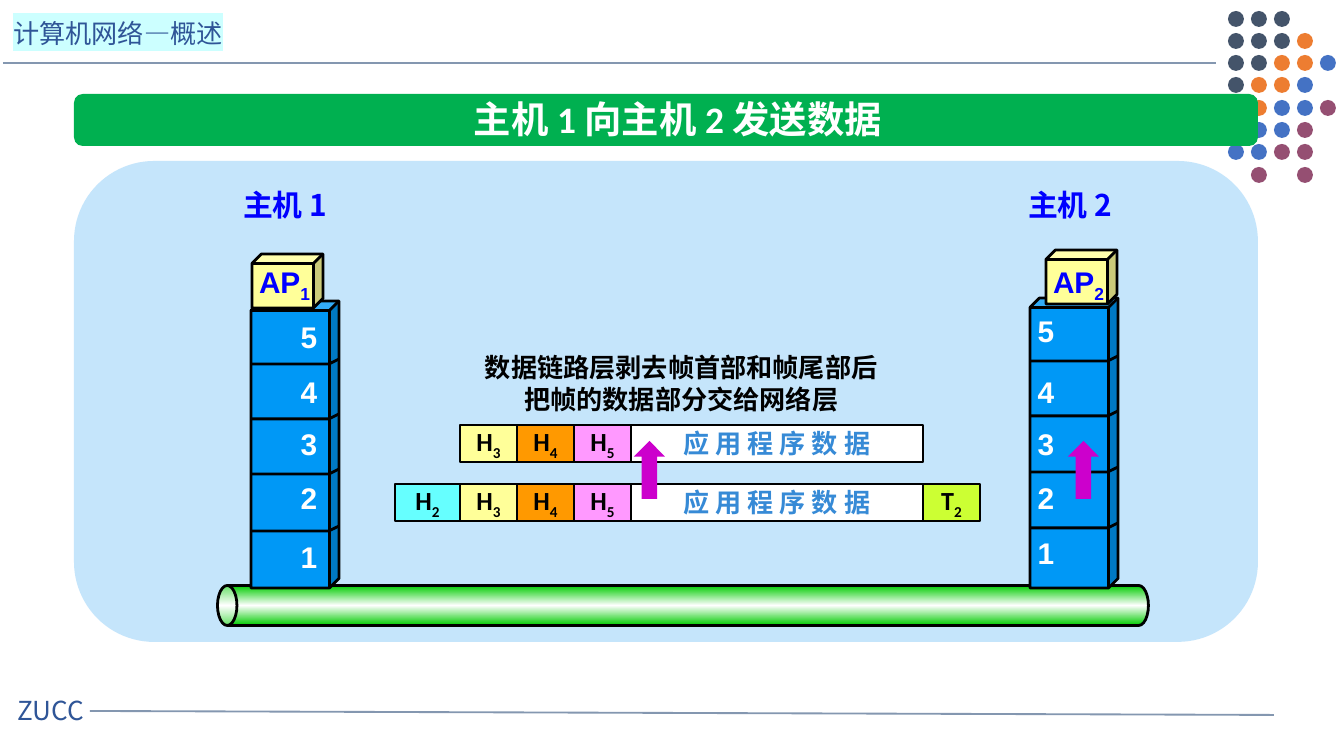
from copy import deepcopy
from dataclasses import dataclass
from typing import Optional

from lxml import etree
from pptx import Presentation
from pptx import util as u
from pptx.dml import color
from pptx.enum import shapes, text
from pptx.oxml import ns

SCALE = 914400 / 134.4  # EMU in one px


@dataclass(frozen=True)
class Theme:
    cjk: str = "Noto Sans CJK SC"
    latin: str = "Calibri"
    digit: str = "Arial"
    title_size: int = 20
    label_size: int = 16
    body_size: int = 14
    black: str = "000000"
    white: str = "FFFFFF"
    rule: str = "8497B0"
    brand: str = "2F5597"
    highlight: str = "CCFFFF"
    banner: str = "00B050"
    panel: str = "C5E5FB"
    pipe: str = "00CC00"
    tower: str = "0098F6"
    label: str = "0000FF"
    yellow: str = "FFFF99"
    orange: str = "FF9900"
    pink: str = "FF99FF"
    cyan: str = "66FFFF"
    lime: str = "CCFF33"
    data: str = "368AD6"
    arrow: str = "CC00CC"


@dataclass(frozen=True)
class Box:
    left: int
    top: int
    width: int
    height: int

    def emu(self) -> list[int]:
        return [px(v) for v in (self.left, self.top, self.width, self.height)]


@dataclass(frozen=True)
class Style:
    font: str
    size: int
    color: str
    bold: bool = True
    highlight: Optional[str] = None


@dataclass(frozen=True)
class Host:
    number: str
    tower: Box
    digit_left: int
    digit_tops: tuple[int, ...]
    seams: tuple[int, ...]
    name: Box
    process: Box
    process_label: Box


@dataclass(frozen=True)
class Cell:
    left: int
    width: int
    fill: str
    letter: str
    index: str


THEME = Theme()
KIND = shapes.MSO_SHAPE
CENTER, LEFT = text.PP_ALIGN.CENTER, text.PP_ALIGN.LEFT
BRAND = Style(THEME.cjk, THEME.body_size, THEME.brand, bold=False)
HEADER = Style(THEME.cjk, THEME.body_size, THEME.brand, False, THEME.highlight)
TITLE = Style(THEME.latin, THEME.title_size, THEME.white)
DIGIT = Style(THEME.digit, THEME.label_size, THEME.white)
PROCESS = Style(THEME.digit, THEME.label_size, THEME.label)
NAME = Style(THEME.cjk, THEME.label_size, THEME.label)
NOTE = Style(THEME.cjk, THEME.body_size, THEME.black)
FIELD = Style(THEME.latin, THEME.body_size, THEME.black)
DATA = Style(THEME.cjk, THEME.body_size, THEME.data)

DOT_COLORS = {"N": "44546A", "O": "ED7D31", "B": "4472C4", "P": "954F72"}
DOT_ROWS = ("NNN", "NNNO", "NNOOB", "NOOB", " OBBP", " BBP", "BBPP", " P P")

HOSTS = (
    Host("1", Box(251, 301, 88, 287), 287, (312, 367, 419, 473, 532),
         (364, 419, 474, 531), Box(230, 180, 160, 50),
         Box(252, 254, 71, 54), Box(245, 257, 79, 50)),
    Host("2", Box(1030, 298, 88, 290), 1024, (306, 367, 419, 473, 528),
         (361, 416, 472, 528), Box(1015, 180, 160, 50),
         Box(1046, 250, 71, 54), Box(1039, 257, 79, 50)),
)
PACKET = (
    Cell(460, 57, THEME.yellow, "H", "3"),
    Cell(517, 57, THEME.orange, "H", "4"),
    Cell(574, 57, THEME.pink, "H", "5"),
)
FRAME_ENDS = (
    Cell(395, 65, THEME.cyan, "H", "2"),
    Cell(923, 57, THEME.lime, "T", "2"),
)


def px(value: float) -> int:
    return round(value * SCALE)


def rgb(value: str) -> color.RGBColor:
    return color.RGBColor.from_string(value)


def add_run(para, words: str, style: Style, subscript: bool = False) -> None:
    span = para.add_run()
    span.text = words
    font = span.font
    font.size, font.bold = u.Pt(style.size), style.bold
    font.color.rgb = rgb(style.color)
    props = span._r.get_or_add_rPr()
    if style.highlight:
        mark = etree.SubElement(props, ns.qn("a:highlight"))
        etree.SubElement(mark, ns.qn("a:srgbClr"), val=style.highlight)
    font.name = style.font
    etree.SubElement(props, ns.qn("a:ea"), typeface=THEME.cjk)
    if subscript:
        props.set("baseline", "-25000")


def add_text(page, box: Box, lines, style: Style, align=CENTER, wrap=False, index="") -> None:
    frame = page.shapes.add_textbox(*box.emu()).text_frame
    frame.word_wrap = wrap
    frame.auto_size = text.MSO_AUTO_SIZE.SHAPE_TO_FIT_TEXT
    for number, line in enumerate(lines):
        para = frame.add_paragraph() if number else frame.paragraphs[0]
        para.alignment = align
        add_run(para, line, style)
        if index:
            add_run(para, index, style, subscript=True)


def set_line(shape, width: float, tint: str = THEME.black) -> None:
    shape.line.width = u.Pt(width)
    shape.line.color.rgb = rgb(tint)


def add_shape(page, kind, box: Box, fill: str, line: float = 0, adjust=()):
    shape = page.shapes.add_shape(kind, *box.emu())
    shape.shadow.inherit = False
    shape.fill.solid()
    shape.fill.fore_color.rgb = rgb(fill)
    if line:
        set_line(shape, line)
    else:
        shape.line.fill.background()
    for number, value in enumerate(adjust):
        shape.adjustments[number] = value
    return shape


def add_rule(page, *ends: int) -> None:
    rule = page.shapes.add_connector(shapes.MSO_CONNECTOR.STRAIGHT, *map(px, ends))
    set_line(rule, 1, THEME.rule)
    etree.SubElement(rule._element.spPr, ns.qn("a:effectLst"))


def add_pipe(page) -> None:
    pipe = add_shape(page, KIND.CAN, Box(663, 140, 40, 931), THEME.pipe, 1.5, [0.487])
    pipe.rotation = 270
    pipe.fill.gradient()
    pipe.fill.gradient_angle = 0
    stops = pipe._element.spPr.find(".//" + ns.qn("a:gsLst"))
    stops.insert(1, deepcopy(stops[0]))
    tints = (THEME.pipe, THEME.white, THEME.pipe)
    for stop, place, tint in zip(pipe.fill.gradient_stops, (0, 0.5, 1), tints):
        stop.position = place
        stop.color.rgb = rgb(tint)


def add_host(page, host: Host) -> None:
    add_shape(page, KIND.CUBE, host.tower, THEME.tower, 1.5, [0.108])
    for digit, top in zip("54321", host.digit_tops):
        add_text(page, Box(host.digit_left, top, 44, 50), [digit], DIGIT)
    left = host.tower.left
    for y in host.seams:
        outline = page.shapes.build_freeform(left, y, scale=SCALE)
        outline.add_line_segments([(left + 78, y), (left + 88, y - 5)], close=False)
        seam = outline.convert_to_shape()
        seam.shadow.inherit = False
        seam.fill.background()
        set_line(seam, 1.5)
    add_text(page, host.name, ["主机 " + host.number], NAME, LEFT, wrap=True)
    add_shape(page, KIND.CUBE, host.process, THEME.yellow, 1.5, [0.176])
    add_text(page, host.process_label, ["AP"], PROCESS, index=host.number)


def add_field(page, box: Box, fill: str, words: str, style: Style, index: str = "") -> None:
    frame = add_shape(page, KIND.RECTANGLE, box, fill, 0.75).text_frame
    frame.word_wrap = False
    frame.vertical_anchor = text.MSO_ANCHOR.MIDDLE
    para = frame.paragraphs[0]
    para.alignment = CENTER
    add_run(para, words, style)
    if index:
        add_run(para, index, style, subscript=True)


def add_packet(page, top: int, cells: tuple[Cell, ...]) -> None:
    for cell in cells:
        box = Box(cell.left, top, cell.width, 37)
        add_field(page, box, cell.fill, cell.letter, FIELD, cell.index)
    add_field(page, Box(631, top, 292, 37), THEME.white, "应 用 程 序 数 据", DATA)


def main() -> None:
    deck = Presentation()
    deck.slide_width, deck.slide_height = px(1344), px(756)
    page = deck.slides.add_slide(deck.slide_layouts[6])

    # Header, footer and dot ornament
    add_rule(page, 3, 63, 1216, 63)
    add_rule(page, 90, 711, 1274, 715)
    add_text(page, Box(4, 688, 120, 46), ["ZUCC"], BRAND, LEFT, wrap=True)
    add_text(page, Box(0, 11, 290, 46), ["计算机网络—概述"], HEADER, LEFT, wrap=True)
    for row, pattern in enumerate(DOT_ROWS):
        for column, code in enumerate(pattern):
            if code in DOT_COLORS:
                dot = Box(1228 + 23 * column, 11 + row * 156 // 7, 16, 16)
                add_shape(page, KIND.OVAL, dot, DOT_COLORS[code])

    # Title banner and panel
    add_shape(page, KIND.ROUNDED_RECTANGLE, Box(74, 94, 1184, 52), THEME.banner, adjust=[0.167])
    add_text(page, Box(398, 90, 560, 59), ["主机 1 向主机 2 发送数据"], TITLE, wrap=True)
    add_shape(page, KIND.ROUNDED_RECTANGLE, Box(74, 161, 1184, 481), THEME.panel)

    # Link and the two protocol stacks
    add_pipe(page)
    for host in HOSTS:
        add_host(page, host)

    # Network-layer packet above the data-link frame
    note = ["数据链路层剥去帧首部和帧尾部后", "把帧的数据部分交给网络层"]
    add_text(page, Box(470, 345, 423, 77), note, NOTE)
    add_packet(page, 425, PACKET)
    add_packet(page, 484, FRAME_ENDS + PACKET)
    for left in (1068, 634):
        add_shape(page, KIND.UP_ARROW, Box(left, 441, 31, 58), THEME.arrow, adjust=[0.5, 0.504])

    deck.save("out.pptx")


if __name__ == "__main__":
    main()
